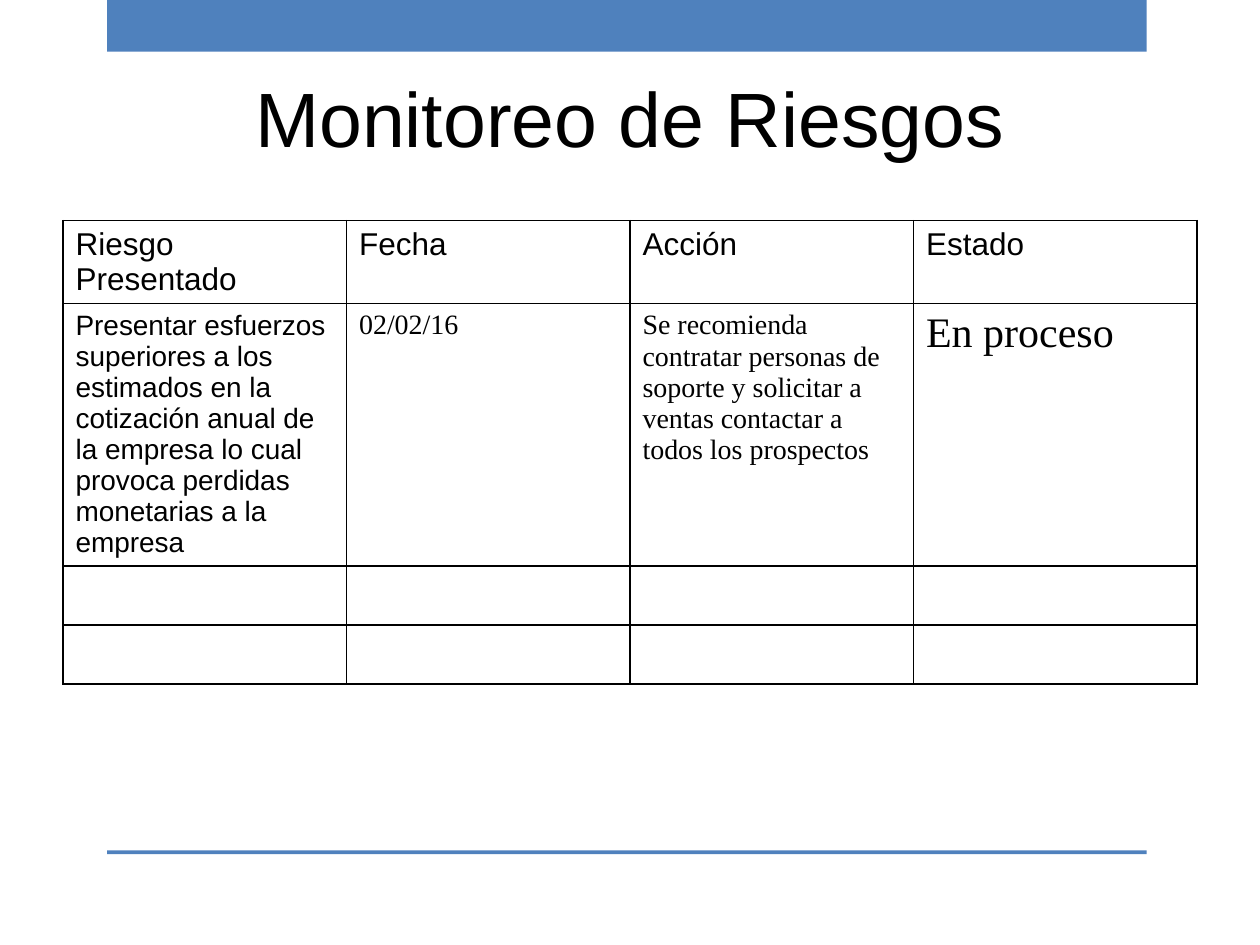
import pptx
import pptx.dml.color
import pptx.enum.shapes
import pptx.enum.text
import pptx.oxml.ns
import pptx.util
from lxml import etree

RGBColor = pptx.dml.color.RGBColor
BLUE = RGBColor(0x4F, 0x81, 0xBD)
BLACK = RGBColor(0, 0, 0)
WHITE = RGBColor(0xFF, 0xFF, 0xFF)
SANS, SERIF = "Arial", "Times New Roman"
COLS, ROWS = 20, 15  # half-inch grid

HEADER = [(text, 18, SANS) for text in
          ("Riesgo Presentado", "Fecha", "Acción", "Estado")]
RISK = [
    ("Presentar esfuerzos superiores a los estimados en la cotización anual "
     "de la empresa lo cual provoca perdidas monetarias a la empresa", 16, SANS),
    ("02/02/16", 16, SERIF),
    ("Se recomienda contratar personas de soporte y solicitar a ventas "
     "contactar a todos los prospectos", 16, SERIF),
    ("En proceso", 24, SERIF),
]
EMPTY = [None] * len(HEADER)


class SlideBuilder:
    def __init__(self, prs):
        self.col = prs.slide_width / COLS
        self.row = prs.slide_height / ROWS
        self.s = prs.slides.add_slide(prs.slide_layouts[5])
        self.s.background.fill.solid()
        self.s.background.fill.fore_color.rgb = WHITE

    def box(self, x, y, w, h):
        return (round(x * self.col), round(y * self.row),
                round(w * self.col), round(h * self.row))

    def add_text(self, p, text, size, font):
        r = p.add_run()
        r.text = text
        r.font.size = pptx.util.Pt(size)
        r.font.name = font
        r.font.color.rgb = BLACK

    def bar(self, *place):
        sp = self.s.shapes.add_shape(
            pptx.enum.shapes.MSO_SHAPE.RECTANGLE, *self.box(*place))
        sp.shadow.inherit = False
        sp.fill.solid()
        sp.fill.fore_color.rgb = BLUE
        sp.line.fill.background()

    def title(self, text, *place):
        sp = self.s.shapes.title
        sp.left, sp.top, sp.width, sp.height = self.box(*place)
        tf = sp.text_frame
        tf.word_wrap = True
        tf.margin_left = tf.margin_right = tf.margin_top = tf.margin_bottom = 0
        tf.vertical_anchor = pptx.enum.text.MSO_ANCHOR.MIDDLE
        p = tf.paragraphs[0]
        p.alignment = pptx.enum.text.PP_ALIGN.CENTER
        self.add_text(p, text, 44, SANS)

    def border(self, cell):
        tag = pptx.oxml.ns.qn
        tc_pr = cell._tc.get_or_add_tcPr()
        for side in ("a:lnL", "a:lnR", "a:lnT", "a:lnB"):
            ln = etree.SubElement(tc_pr, tag(side), w=str(pptx.util.Pt(1)))
            fill = etree.SubElement(ln, tag("a:solidFill"))
            etree.SubElement(fill, tag("a:srgbClr"), val=str(BLACK))

    def table(self, x, y, w, heights, data):
        frame = self.s.shapes.add_table(
            len(data), len(data[0]), *self.box(x, y, w, sum(heights)))
        table = frame.table
        table.first_row = table.horz_banding = False
        for row, height, items in zip(table.rows, heights, data):
            row.height = round(height * self.row)
            for cell, item in zip(row.cells, items):
                self.border(cell)
                cell.fill.background()
                if item:
                    self.add_text(cell.text_frame.paragraphs[0], *item)


prs = pptx.Presentation()
prs.slide_width = pptx.util.Inches(10)
prs.slide_height = pptx.util.Inches(7.5)
b = SlideBuilder(prs)

# Top band and footer rule
b.bar(1.7, 0, 16.5, 0.82)
b.bar(1.7, 13.5, 16.5, 0.06)

# Title
b.title("Monitoreo de Riesgos", 1, 0.6, 18, 2.5)

# Risk table
b.table(1, 3.5, 18, [1.32, 4.16, 0.94, 0.94], [HEADER, RISK, EMPTY, EMPTY])

prs.save("out.pptx")
